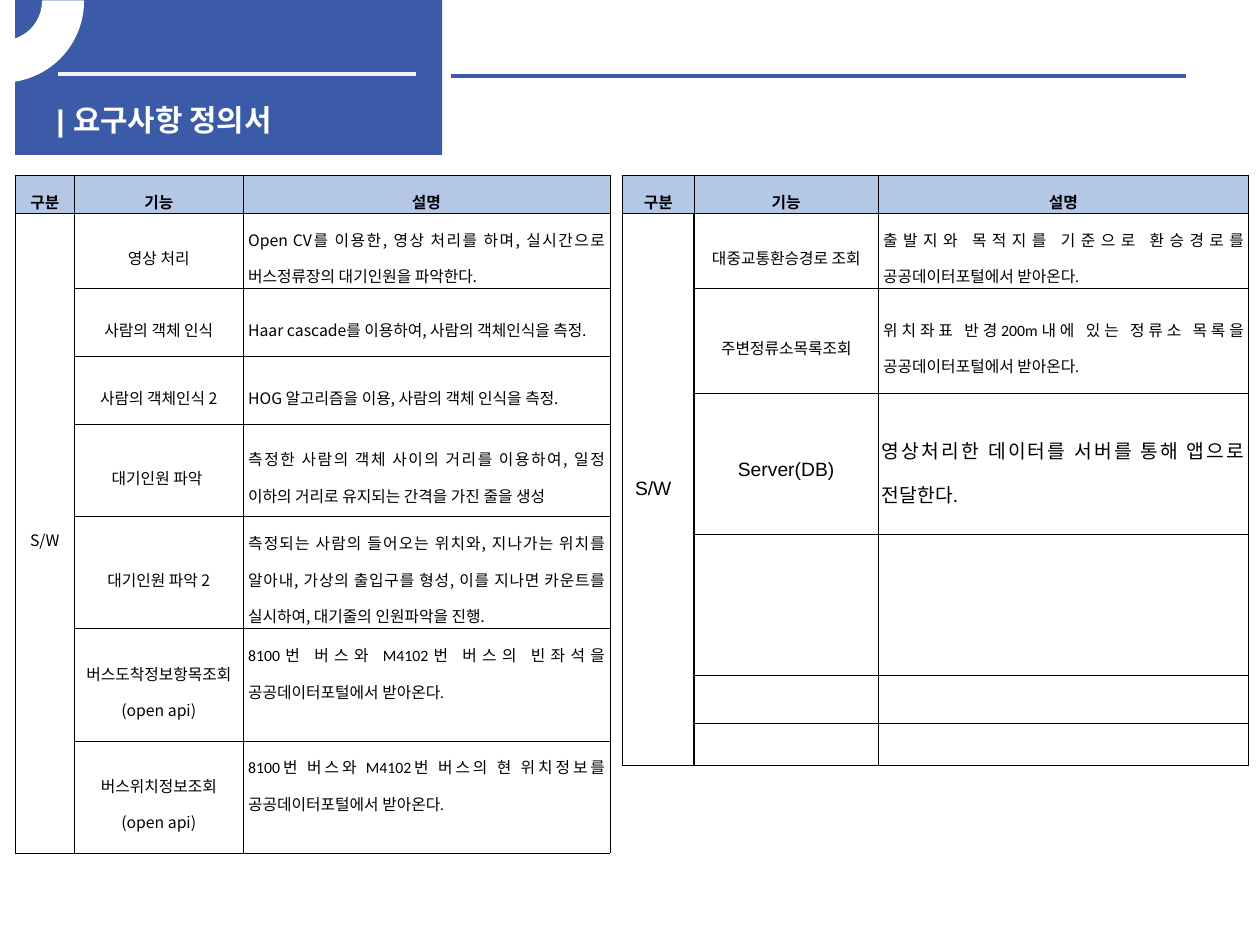
from dataclasses import dataclass

import lxml.etree
import pptx
import pptx.dml.color
import pptx.enum.shapes
import pptx.enum.text
import pptx.oxml.ns
import pptx.slide
import pptx.util

Inches = pptx.util.Inches
Pt = pptx.util.Pt
RGBColor = pptx.dml.color.RGBColor
Align = pptx.enum.text.PP_ALIGN
Anchor = pptx.enum.text.MSO_ANCHOR
Shape = pptx.enum.shapes.MSO_SHAPE
qn = pptx.oxml.ns.qn

BLUE = RGBColor(0x3B, 0x5A, 0xA8)
HEADER = RGBColor(0xB4, 0xC7, 0xE7)
PALE = RGBColor(0xF2, 0xF2, 0xF2)
WHITE = RGBColor(0xFF, 0xFF, 0xFF)
BLACK = RGBColor(0, 0, 0)

NOTO = "Noto Sans CJK KR"
CALIBRI = "Calibri"
ARIAL = "Arial"


@dataclass
class Cell:
    text: str
    font: str = NOTO
    size: float = 9
    align: Align = Align.CENTER
    anchor: Anchor = Anchor.MIDDLE
    spacing: float = 1.6
    inset_x: float = 0.04
    inset_y: float = 0.01


def description(text, font=NOTO, **style):
    return Cell(text, font, align=Align.JUSTIFY, **style)


@dataclass
class SlideBuilder:
    s: pptx.slide.Slide
    thin: float = 0.28
    thick: float = 1

    def shape(self, kind, x, y, w, h, fill, line=None):
        sp = self.s.shapes.add_shape(kind, Inches(x), Inches(y), Inches(w), Inches(h))
        sp.shadow.inherit = False
        sp.fill.solid()
        sp.fill.fore_color.rgb = fill
        if line is None:
            sp.line.fill.background()
        else:
            sp.line.color.rgb = line
            sp.line.width = Pt(1)
        return sp

    def rule(self, x1, x2, y, color):
        line = self.s.shapes.add_connector(
            pptx.enum.shapes.MSO_CONNECTOR.STRAIGHT,
            Inches(x1), Inches(y), Inches(x2), Inches(y))
        line.line.color.rgb = color
        line.line.width = Pt(2.25)
        lxml.etree.SubElement(line.element.spPr, qn("a:effectLst"))

    def run(self, p, text, font, size, color, bold=False):
        r = p.add_run()
        r.text = text
        r.font.name = font
        r.font.size = Pt(size)
        r.font.bold = bold
        r.font.color.rgb = color
        ea = lxml.etree.SubElement(r.font._element, qn("a:ea"))
        ea.set("typeface", NOTO)

    def title(self, text, x, y, w, h):
        tf = self.s.shapes.add_textbox(Inches(x), Inches(y), Inches(w), Inches(h)).text_frame
        tf.word_wrap = True
        self.run(tf.paragraphs[0], text, ARIAL, 17, WHITE, True)

    def borders(self, cell, widths):
        tc_pr = cell._tc.get_or_add_tcPr()
        for i, (side, width) in enumerate(zip("LRTB", widths)):
            ln = lxml.etree.Element(qn(f"a:ln{side}"), w=str(Pt(width)))
            fill = lxml.etree.SubElement(ln, qn("a:solidFill"))
            lxml.etree.SubElement(fill, qn("a:srgbClr"), val=str(BLACK))
            tc_pr.insert(i, ln)

    def cell(self, cell, content, header):
        cell.margin_left = cell.margin_right = Inches(content.inset_x)
        cell.margin_top = cell.margin_bottom = Inches(content.inset_y)
        cell.vertical_anchor = content.anchor
        if header:
            cell.fill.solid()
            cell.fill.fore_color.rgb = HEADER
        else:
            cell.fill.background()
        tf = cell.text_frame
        for i, text in enumerate(content.text.split("\n")):
            p = tf.add_paragraph() if i else tf.paragraphs[0]
            if text:
                p.alignment = content.align
                p.line_spacing = content.spacing
                self.run(p, text, content.font, content.size, BLACK, header)

    def table(self, x, y, cols, heights, header_font, group, rows, group_border):
        frame = self.s.shapes.add_table(
            len(heights), len(cols), Inches(x), Inches(y),
            Inches(sum(cols)), Inches(sum(heights)))
        table = frame.table
        for col, width in zip(table.columns, cols):
            col.width = Inches(width)
        for row, height in zip(table.rows, heights):
            row.height = Inches(height)
        table.cell(1, 0).merge(table.cell(len(heights) - 1, 0))
        header = [Cell(text, header_font) for text in ("구분", "기능", "설명")]
        body = [[group if i == 0 else Cell(""), *row] for i, row in enumerate(rows)]
        for i, row in enumerate([header, *body]):
            for j, content in enumerate(row):
                cell = table.cell(i, j)
                self.cell(cell, content, i == 0)
                left = group_border if i and j < 2 else self.thin
                right = group_border if i and j == 0 else self.thin
                bottom = right if i == len(body) else self.thin
                self.borders(cell, (left, right, self.thin, bottom))


def main():
    prs = pptx.Presentation()
    prs.slide_width = Inches(10)
    prs.slide_height = Inches(7.5)
    b = SlideBuilder(prs.slides.add_slide(prs.slide_layouts[6]))

    b.shape(Shape.RECTANGLE, 0.12, 0, 3.39, 1.23, BLUE)
    b.rule(0.46, 3.3, 0.59, PALE)
    b.rule(3.58, 9.41, 0.6, BLUE)
    b.title("| 요구사항 정의서", 0.35, 0.76, 3.07, 0.32)
    arc = b.shape(Shape.BLOCK_ARC, -0.63, -0.63, 1.29, 1.28, WHITE, WHITE)
    for i, value in enumerate((161.59, 0, 0.25)):
        arc.adjustments[i] = value
    arc.element.spPr.find(qn("a:xfrm")).set("flipV", "1")

    vision_rows = [
        (Cell("영상 처리"),
         description("Open CV를 이용한, 영상 처리를 하며, 실시간으로 버스정류장의 대기인원을 파악한다.")),
        (Cell("사람의 객체 인식"),
         description("Haar cascade를 이용하여, 사람의 객체인식을 측정.")),
        (Cell("사람의 객체인식 2"),
         description("HOG 알고리즘을 이용, 사람의 객체 인식을 측정.")),
        (Cell("대기인원 파악 "),
         description("측정한 사람의 객체 사이의 거리를 이용하여, 일정 이하의 거리로 유지되는 간격을 가진 줄을 생성")),
        (Cell("대기인원 파악 2"),
         description("측정되는 사람의 들어오는 위치와, 지나가는 위치를 알아내, 가상의 출입구를 형성, "
                     "이를 지나면 카운트를 실시하여, 대기줄의 인원파악을 진행.")),
        (Cell("버스도착정보항목조회\n(open api)"),
         description("8100번 버스와 M4102번 버스의 빈좌석을 공공데이터포털에서 받아온다.",
                     CALIBRI, anchor=Anchor.TOP)),
        (Cell("버스위치정보조회\n(open api)"),
         description("8100번 버스와 M4102번 버스의 현 위치정보를 공공데이터포털에서 받아온다.",
                     CALIBRI, anchor=Anchor.TOP)),
    ]
    b.table(0.12, 1.39, (0.47, 1.34, 2.91),
            (0.3, 0.6, 0.54, 0.54, 0.73, 0.89, 0.89, 0.89),
            NOTO, Cell("S/W"), vision_rows, b.thin)

    transit_rows = [
        (Cell("대중교통환승경로 조회", CALIBRI),
         description("출발지와 목적지를 기준으로 환승경로를 공공데이터포털에서 받아온다.", CALIBRI)),
        (Cell("주변정류소목록조회", CALIBRI),
         description("위치좌표 반경200m내에 있는 정류소 목록을 공공데이터포털에서 받아온다.", CALIBRI)),
        (Cell("Server(DB)", ARIAL, 11, inset_x=0.03),
         description("영상처리한 데이터를 서버를 통해 앱으로 전달한다.", CALIBRI, size=11, inset_x=0.03)),
    ] + [(Cell(""), Cell(""))] * 3
    b.table(4.94, 1.39, (0.57, 1.46, 2.94),
            (0.3, 0.6, 0.83, 1.12, 1.12, 0.38, 0.33), CALIBRI,
            Cell("S/W", ARIAL, 11, Align.LEFT, spacing=1, inset_x=0.1, inset_y=0.05),
            transit_rows, b.thick)

    prs.save("out.pptx")


if __name__ == "__main__":
    main()
